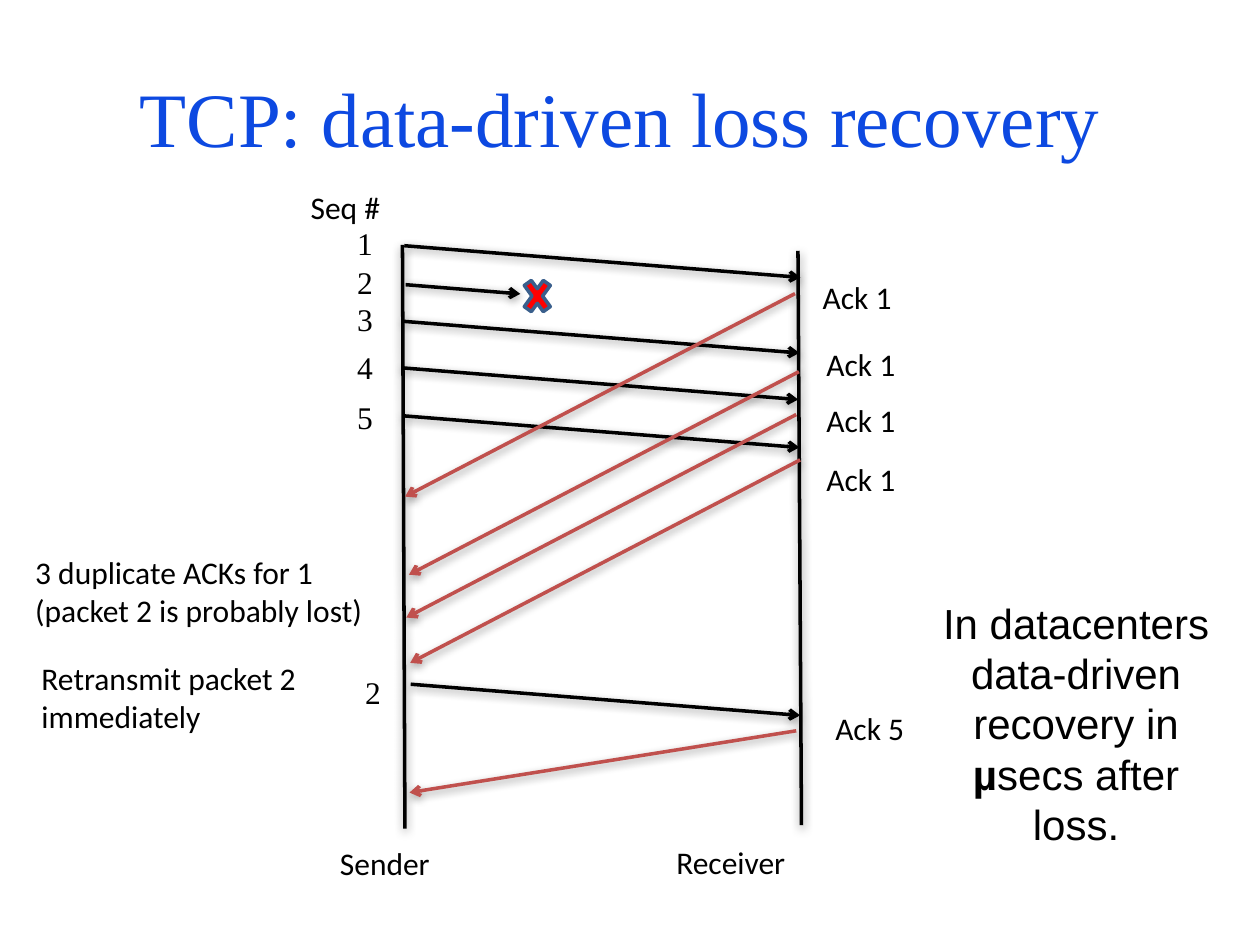
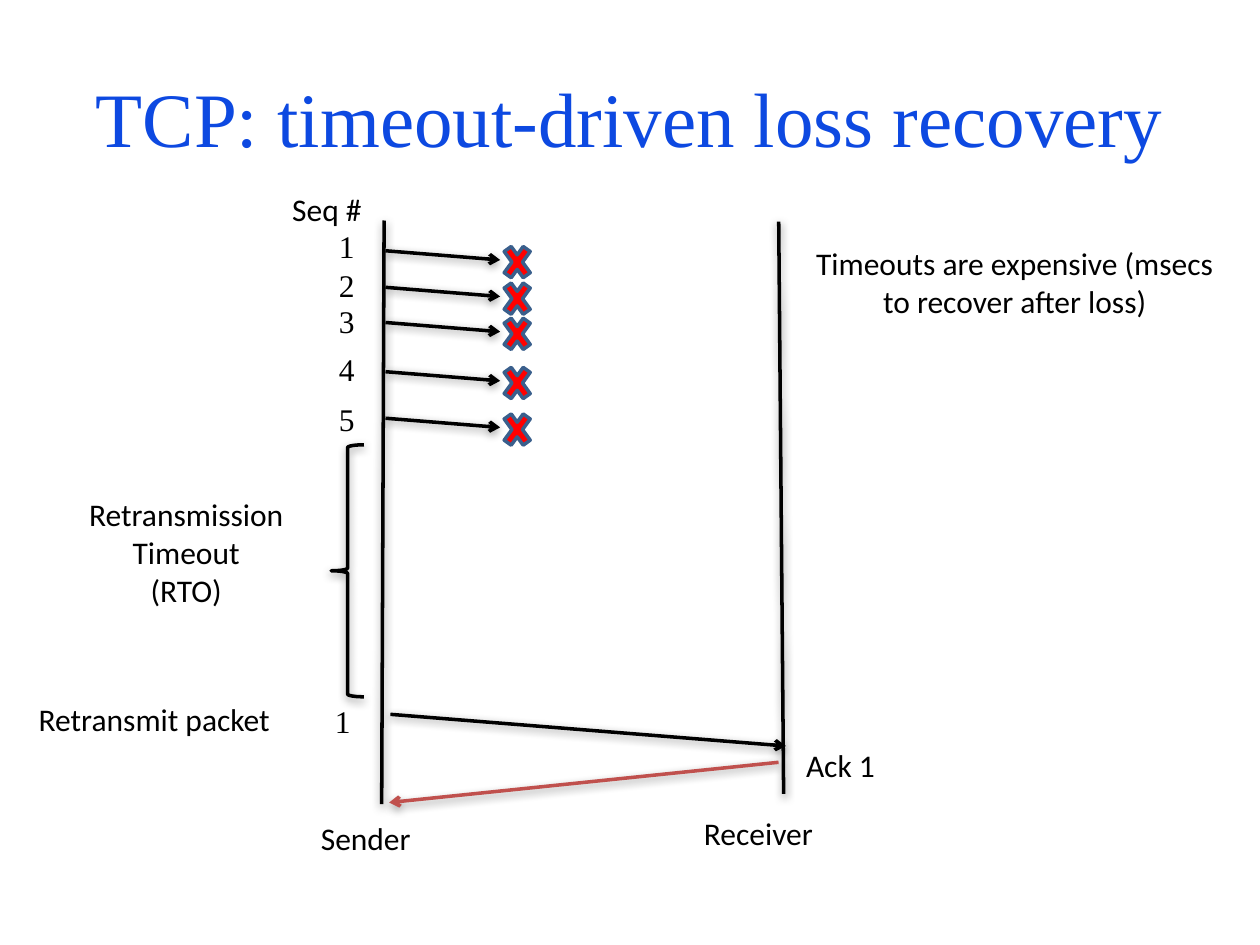
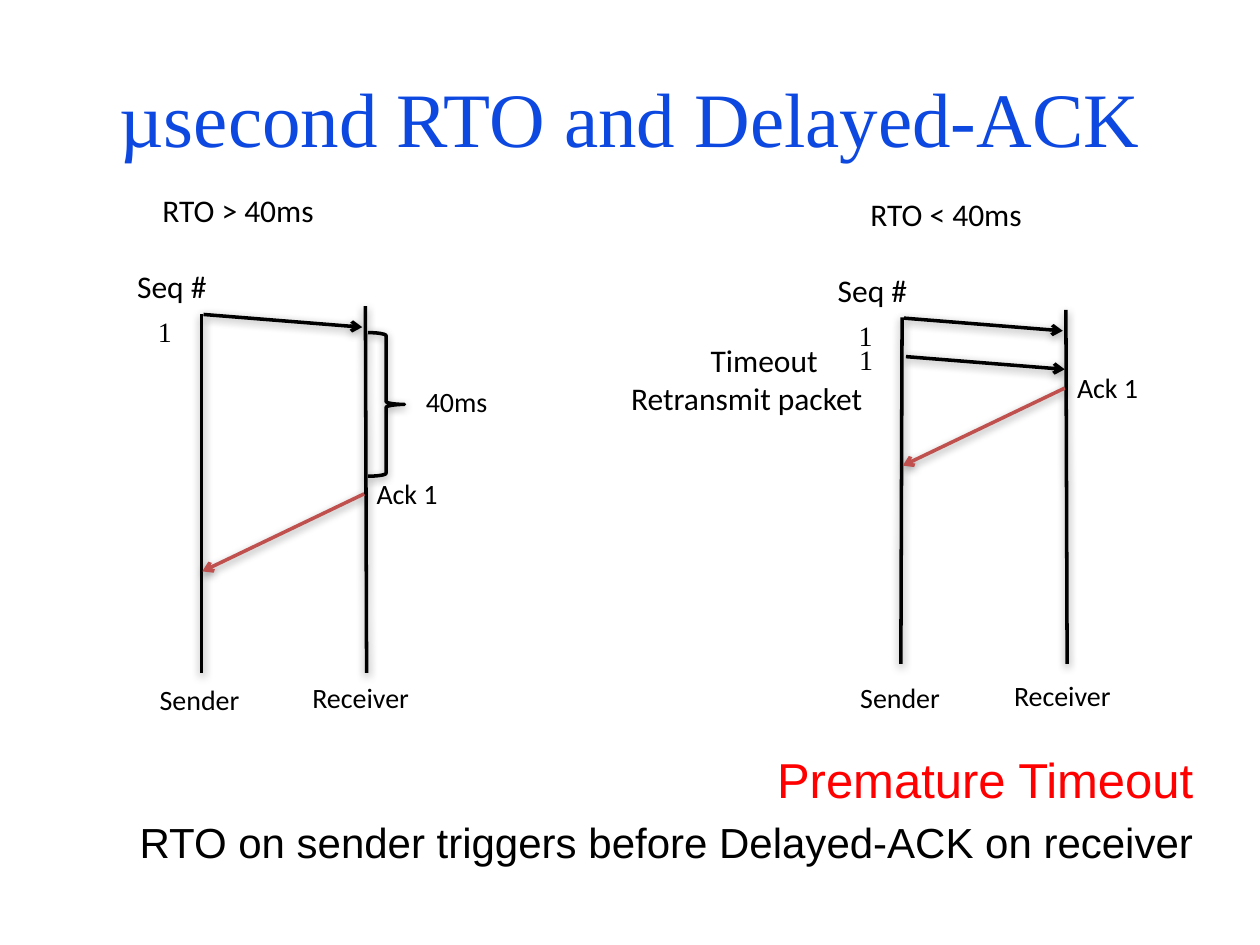
import dataclasses
import itertools
import lxml.etree
import pptx
import pptx.dml.color
import pptx.enum.shapes
import pptx.enum.text
import pptx.oxml.ns
import pptx.util

Pt = pptx.util.Pt
qn = pptx.oxml.ns.qn
SHAPE = pptx.enum.shapes.MSO_SHAPE
ALIGN = pptx.enum.text.PP_ALIGN

HUES = {
    "ink": "000000",
    "title": "0D49E1",
    "ack": "C0504D",
    "alert": "FF0000",
    "edge": "3A5F8C",
}
SANS, SERIF, PLAIN = "Calibri", "Times New Roman", "Arial"
SIDES = {"l": ALIGN.LEFT, "c": ALIGN.CENTER, "r": ALIGN.RIGHT}
SLOPE = 0.08
STEPS = (0, 22.3, 43.1, 70.5, 99.3)


@dataclasses.dataclass
class Area:
    slide: object
    x: float
    y: float
    w: float
    h: float

    def place(self, x, y, w, h):
        return Pt(self.x + x), Pt(self.y + y), Pt(w), Pt(h)


def hue(name):
    return pptx.dml.color.RGBColor.from_string(HUES[name])


def write(par, text, size=18, font=SANS, color="ink", align="l"):
    par.alignment = SIDES[align]
    for spot, part in enumerate(text.split("*")):
        run = par.add_run()
        run.text = part
        run.font.size = Pt(size)
        run.font.name = font
        run.font.bold = spot % 2 == 1
        run.font.color.rgb = hue(color)


def note(area, text, x, y, w, h=28.8, align="l", **style):
    frame = area.slide.shapes.add_textbox(*area.place(x, y, w, h)).text_frame
    frame.word_wrap = True
    for spot, (line, side) in enumerate(zip(text.split("\n"), itertools.cycle(align))):
        par = frame.add_paragraph() if spot else frame.paragraphs[0]
        write(par, line, align=side, **style)


def digit(area, text, x, y, size=18):
    note(area, text, x, y, 23.5, size=size, font=SERIF)


def shade(shape):
    glow = lxml.etree.SubElement(shape.element.spPr, qn("a:effectLst"))
    drop = lxml.etree.SubElement(
        glow, qn("a:outerShdw"), blurRad=str(Pt(5)), dist=str(Pt(1.6)),
        dir="5400000", rotWithShape="0")
    tint = lxml.etree.SubElement(drop, qn("a:srgbClr"), val=HUES["ink"])
    lxml.etree.SubElement(tint, qn("a:alpha"), val="38000")


def stroke(shape, color):
    shape.line.color.rgb = hue(color)
    shape.line.width = Pt(2)


def wire(area, x, y, dx, dy, color="ink", tip=True):
    start = area.place(x, y, 0, 0)[:2]
    end = area.place(x + dx, y + dy, 0, 0)[:2]
    link = area.slide.shapes.add_connector(
        pptx.enum.shapes.MSO_CONNECTOR.STRAIGHT, *start, *end)
    stroke(link, color)
    if tip:
        edge = link.element.spPr.find(qn("a:ln"))
        lxml.etree.SubElement(edge, qn("a:tailEnd"), type="arrow")
    shade(link)


def send(area, x, y, reach):
    wire(area, x, y, reach, reach * SLOPE)


def reply(area, x, y, reach, drop):
    wire(area, x, y, -reach, drop, "ack")


def lose(area, x, y):
    send(area, x, y, 65.5)
    cross = area.slide.shapes.add_shape(
        SHAPE.MATH_MULTIPLY, *area.place(x + 64.8, y - 7.9, 20.9, 28.8))
    cross.fill.solid()
    cross.fill.fore_color.rgb = hue("alert")
    stroke(cross, "edge")
    cross.shadow.inherit = False


def brace(area, kind, x, y, w, h):
    mark = area.slide.shapes.add_shape(kind, *area.place(x, y, w, h))
    mark.fill.background()
    stroke(mark, "ink")
    shade(mark)


def rails(area, lean, top, tilt, foot, names, size=18):
    wire(area, 0, 0, lean, area.h, tip=False)
    wire(area, area.w, top, tilt, foot - top, tip=False)
    for text, (x, y) in zip(("Sender", "Receiver"), names):
        note(area, text, x, y, 92, size=size)


def count(area, top):
    note(area, "Seq #", -59.6, top - 20.9, 62)
    for num, step in enumerate(STEPS, 1):
        digit(area, str(num), -33, top + step)


def head(deck, layout, text):
    slide = deck.slides.add_slide(deck.slide_layouts[layout])
    title = slide.shapes.title
    title.left, title.top, title.width, title.height = map(Pt, (36, 21.6, 648, 90))
    title.text_frame.vertical_anchor = pptx.enum.text.MSO_ANCHOR.MIDDLE
    title.text_frame.auto_size = pptx.enum.text.MSO_AUTO_SIZE.NONE
    write(title.text_frame.paragraphs[0], text, size=44, font=SERIF,
          color="title", align="c")
    return slide


def driven(area):
    rails(area, 1.4, 3.3, 2, 331.5, ((-42.8, 338.8), (149.4, 338.1)))
    count(area, -15.4)
    for x, y in ((1, 0.4), (0.4, 43.6), (-0.3, 70.2), (0.4, 97.6)):
        send(area, x, y, 226.4)
    lose(area, 1.8, 22.7)
    acks = ((224.3, 27.8, 233, 15.5), (226.5, 72.4, 235.1, 53.7),
            (225, 96.9, 235.1, 85.4), (227.2, 122.8, 235.1, 119.2))
    for x, y, left, top in acks:
        reply(area, x, y, 222.8, 116)
        note(area, "Ack 1", left, top, 60)
    note(area, "3 duplicate ACKs for 1\n(packet 2 is probably lost)",
         -217, 172.5, 221.8, 51)
    note(area, "Retransmit packet 2\nimmediately", -213.4, 233, 178.6, 51)
    digit(area, "2", -28.4, 241)
    send(area, 4.7, 251, 222.5)
    reply(area, 225, 277.6, 221, 35.3)
    note(area, "Ack 5", 240.2, 261.8, 60)
    note(area, "In datacenters\ndata-driven recovery in *µ*secs after loss.",
         295.6, 197.7, 178.6, 152.6, align="c", size=24, font=PLAIN)


def timed(area):
    rails(area, -1.4, 0.7, 2.8, 327.6, ((-43.2, 338.4), (175.7, 335.5)))
    count(area, 0)
    for y in (17.3, 38.2, 58.3, 86.4, 113):
        lose(area, 0.8, y)
    brace(area, SHAPE.LEFT_BRACE, -30.2, 128.2, 18.7, 144)
    note(area, "Retransmission\nTimeout\n(RTO)", -203.8, 153.4, 181.4, 94.3, align="c")
    note(area, "Retransmit packet", -204.5, 270.7, 171.4)
    digit(area, "1", -35.2, 271.4)
    send(area, 3.6, 282.2, 226)
    reply(area, 225.4, 309.6, 222.5, 23)
    note(area, "Ack 1", 234, 296.6, 60)
    note(area, "Timeouts are expensive (msecs to recover after loss)",
         237.6, 10.1, 245.5, 94.3, align="c")


def delay(area, text, lean, shift, ack, names):
    rails(area, lean, -4.3, 0.7, area.h, names, size=16)
    note(area, text, shift, -73.7, 152, 36.7)
    note(area, "Seq #", -43.9, -30.2, 62)
    digit(area, "1", -32, -3.2, size=16)
    send(area, 1.1, 0.4, 90.7)
    reply(area, 92.9, ack, 92.5, 44.3)
    note(area, "Ack 1", 92.9, ack - 13.3, 55, size=16)


def late(area):
    delay(area, "RTO > 40ms", 0, -29.5, 102.9, ((-31, 207.3), (56.2, 205.9)))
    brace(area, SHAPE.RIGHT_BRACE, 95, 10.8, 20.9, 82.1)
    note(area, "40ms", 121, 36.7, 54, size=16)


def early(area):
    delay(area, "RTO < 40ms", -0.7, -25.2, 40.4, ((-31, 203.8), (56.9, 203.1)))
    digit(area, "1", -31.7, 10.8, size=16)
    send(area, 2.2, 22.4, 90.7)
    note(area, "Timeout\nRetransmit packet", -162, 10.1, 166.3, 51, align="cl")


def close(area):
    body = area.slide.placeholders[1]
    body.left, body.top, body.width, body.height = area.place(0, 0, area.w, area.h)
    frame = body.text_frame
    frame.auto_size = pptx.enum.text.MSO_AUTO_SIZE.NONE
    lines = (("Premature Timeout", 28, "alert"),
             ("RTO on sender triggers before Delayed-ACK on receiver", 24, "ink"))
    for level, (text, size, color) in enumerate(lines):
        par = frame.add_paragraph() if level else frame.paragraphs[0]
        par.level = level
        par.space_before = Pt(size * 0.2)
        write(par, text, size=size, font=PLAIN, color=color, align="r")
        props = par._p.get_or_add_pPr()
        props.set("marL", "0")
        props.set("indent", "0")
        lxml.etree.SubElement(props, qn("a:buNone"))


def main():
    deck = pptx.Presentation()
    deck.slide_width, deck.slide_height = Pt(720), Pt(540)
    driven(Area(head(deck, 5, "TCP: data-driven loss recovery "), 230, 140, 226, 333.5))
    timed(Area(head(deck, 5, "TCP: timeout-driven loss recovery"), 219.5, 126, 225.5, 333.5))
    slide = head(deck, 1, "µsecond RTO and Delayed-ACK")
    late(Area(slide, 115.2, 179.3, 93.6, 205.2))
    early(Area(slide, 515.5, 181.4, 93.6, 198))
    close(Area(slide, 36.7, 424.8, 652.3, 82))
    deck.save("out.pptx")


if __name__ == "__main__":
    main()
